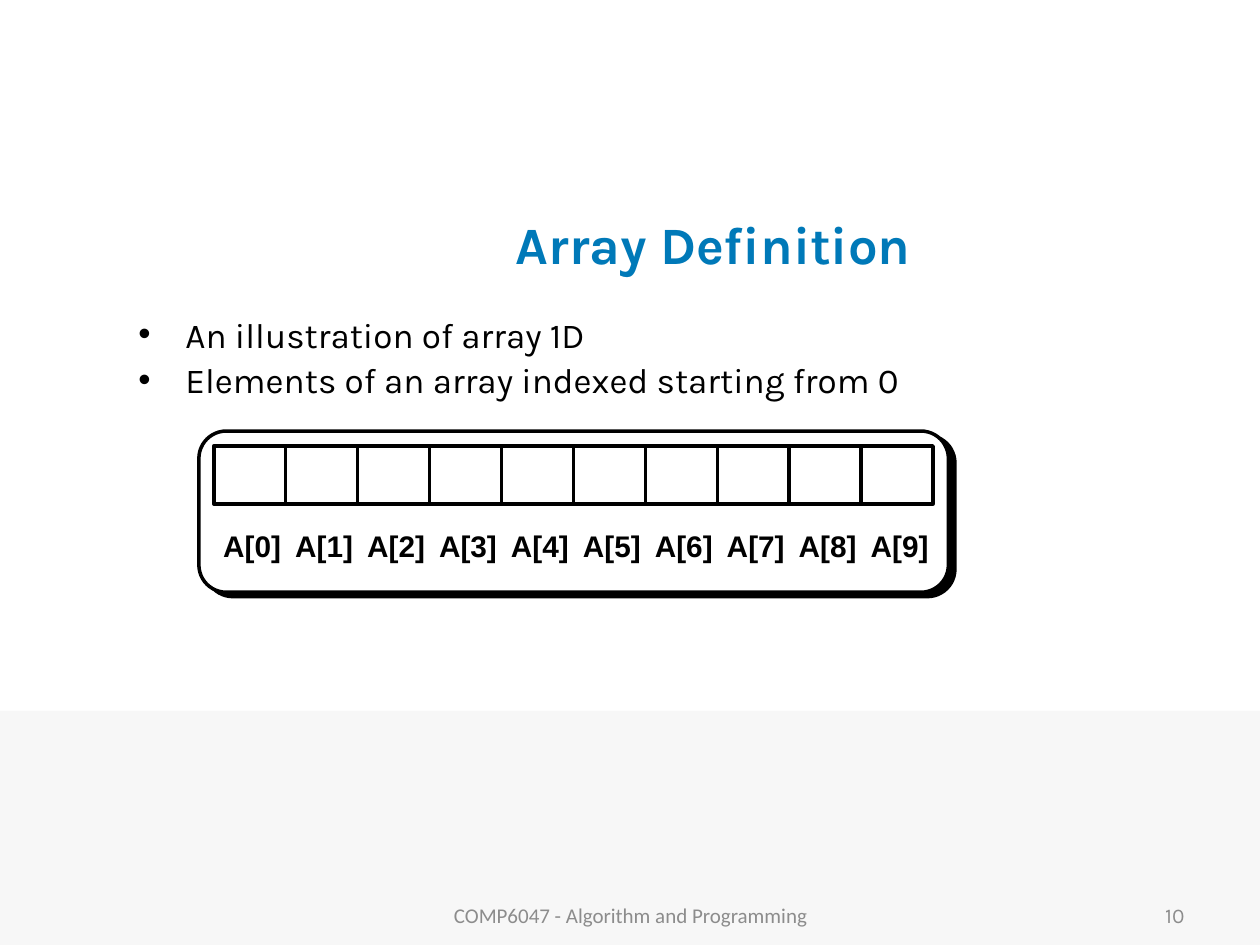
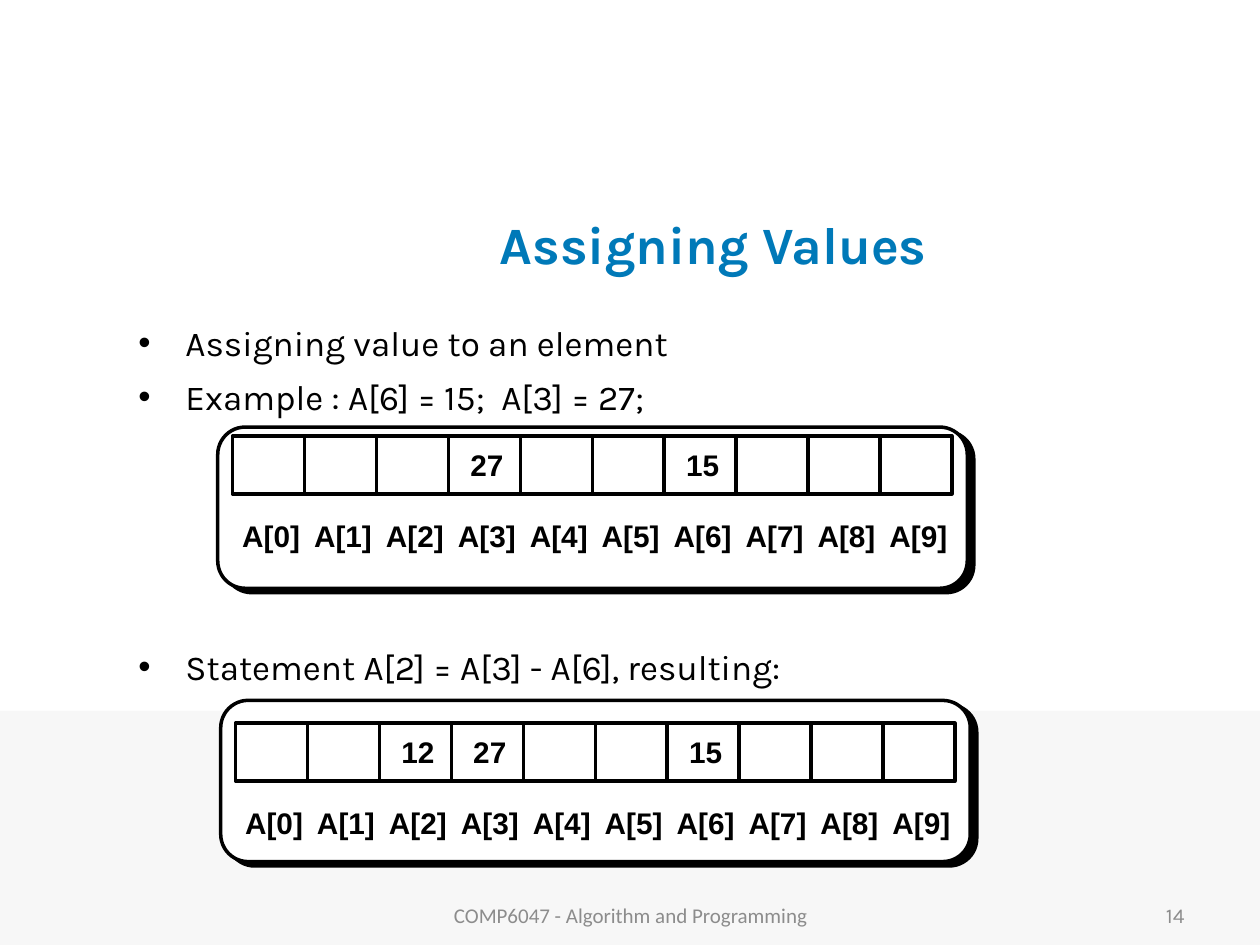
import lxml.etree
import pptx
import pptx.dml.color
import pptx.enum.shapes
import pptx.enum.text
import pptx.oxml.ns
import pptx.util

Cm, Pt = pptx.util.Cm, pptx.util.Pt
ALIGN = pptx.enum.text.PP_ALIGN
ANCHOR = pptx.enum.text.MSO_ANCHOR
SHAPE = pptx.enum.shapes.MSO_SHAPE

FOOTER = "COMP6047 - Algorithm and Programming"
ELEMENTS = 10

# Bullets are (text, points before). Arrays give the panel corner, the gap
# above the cells (all in cm) and the values held, by index.
SLIDES = [
    {
        "title": "Array Definition",
        "number": "10",
        "line_spacing": 0.8,
        "bullets": [
            ("An illustration of array 1D", 7),
            ("Elements of an array indexed starting from 0", 7),
        ],
        "arrays": [{"corner": (4.01, 8.69), "gap": 0.3, "values": {}}],
    },
    {
        "title": "Assigning Values",
        "number": "14",
        "line_spacing": 1.0,
        "bullets": [
            ("Assigning value to an element", 7),
            ("Example : A[6] = 15;  A[3] = 27;", 7),
            ("Statement A[2] = A[3] - A[6], resulting:", 130.4),
        ],
        "arrays": [
            {"corner": (4.39, 8.61), "gap": 0.18, "values": {3: "27", 6: "15"}},
            {"corner": (4.45, 14.12), "gap": 0.46,
             "values": {2: "12", 3: "27", 6: "15"}},
        ],
    },
]

THEME = {
    "ink": "000000",
    "paper": "FFFFFF",
    "band": "F7F7F7",
    "line": Pt(2),
    "title": {"name": "Karla", "size": Pt(30), "bold": True, "color": "0079B8"},
    "body": {"name": "Karla", "size": Pt(20), "color": "000000"},
    "cell": {"name": "Arial", "size": Pt(17), "bold": True, "color": "000000"},
    "footer": {"name": "Calibri", "size": Pt(12), "color": "8C8C8C"},
    "number": {"name": "Karla", "size": Pt(12), "color": "8C8C8C"},
}

# left, top, width, height in cm
BAND = (0, 14.33, 25.4, 4.72)
TITLE = (4.88, 3.81, 19, 2.21)
BODY = (2.54, 6.35, 21.79, 11)
FOOTER_BOX = (8.69, 17.93, 8.05, 1.02)
NUMBER_BOX = (18.21, 17.93, 5.92, 1.02)

PANEL_W, PANEL_H = 15.11, 3.25
CELL_W, CELL_H = 1.45, 1.17
ROW_INDENT = 0.3
TEXT_W, TEXT_H = 1.4, 0.85
TEXT_SHIFT = 0.05
VALUE_DROP, LABEL_DROP = 0.18, 1.61


def rgb(code):
    return pptx.dml.color.RGBColor.from_string(code)


def add_xml(parent, tag, **attributes):
    return lxml.etree.SubElement(parent, pptx.oxml.ns.qn(tag), attributes)


def add_run(paragraph, text, style):
    run = paragraph.add_run()
    run.text = text
    for key, value in style.items():
        if key == "color":
            run.font.color.rgb = rgb(value)
        else:
            setattr(run.font, key, value)


def add_frame(shapes, box, **settings):
    frame = shapes.add_textbox(*map(Cm, box)).text_frame
    for key, value in {"word_wrap": True, **settings}.items():
        setattr(frame, key, value)
    return frame


def add_text(shapes, box, text, style, align=ALIGN.CENTER, **settings):
    paragraph = add_frame(shapes, box, **settings).paragraphs[0]
    paragraph.alignment = align
    add_run(paragraph, text, style)


def add_box(shapes, kind, box, fill=None, line=None):
    shape = shapes.add_shape(kind, *map(Cm, box))
    shape.shadow.inherit = False
    if fill:
        shape.fill.solid()
        shape.fill.fore_color.rgb = rgb(fill)
    else:
        shape.fill.background()
    if line:
        shape.line.color.rgb = rgb(line)
        shape.line.width = THEME["line"]
    else:
        shape.line.fill.background()
    return shape


def add_hard_shadow(shape):
    effects = shape._element.spPr.find(pptx.oxml.ns.qn("a:effectLst"))
    shadow = add_xml(effects, "a:outerShdw", dist=str(Pt(4.5)),
                     dir=str(34 * 60000), algn="ctr", rotWithShape="0")
    add_xml(shadow, "a:srgbClr", val=THEME["ink"])


def add_divider(shapes, x, top):
    divider = shapes.add_connector(
        pptx.enum.shapes.MSO_CONNECTOR.STRAIGHT,
        Cm(x), Cm(top), Cm(x), Cm(top + CELL_H))
    divider.line.color.rgb = rgb(THEME["ink"])
    divider.line.width = THEME["line"]
    add_xml(divider._element.spPr, "a:effectLst")


def add_cell_text(shapes, row_left, index, top, text):
    """Centre text on the column of one array element."""
    centre = row_left + (index + 0.5) * CELL_W + TEXT_SHIFT
    margins = {f"margin_{side}": Cm(0.03)
               for side in ("left", "right", "top", "bottom")}
    add_text(shapes, (centre - TEXT_W / 2, top, TEXT_W, TEXT_H),
             text, THEME["cell"], **margins)


def add_array(slide, corner, gap, values):
    shapes = slide.shapes.add_group_shape().shapes
    left, top = corner
    row_left, row_top = left + ROW_INDENT, top + gap
    panel = add_box(shapes, SHAPE.ROUNDED_RECTANGLE,
                    (left, top, PANEL_W, PANEL_H), THEME["paper"], THEME["ink"])
    panel.adjustments[0] = 0.17
    add_hard_shadow(panel)
    add_box(shapes, SHAPE.RECTANGLE,
            (row_left, row_top, ELEMENTS * CELL_W, CELL_H), line=THEME["ink"])
    for index in range(1, ELEMENTS):
        add_divider(shapes, row_left + index * CELL_W, row_top)
    for index in range(ELEMENTS):
        add_cell_text(shapes, row_left, index, row_top + LABEL_DROP, f"A[{index}]")
    for index, value in values.items():
        add_cell_text(shapes, row_left, index, row_top + VALUE_DROP, value)


def add_bullets(slide, bullets, line_spacing):
    frame = add_frame(slide.shapes, BODY)
    for position, (text, before) in enumerate(bullets):
        paragraph = frame.add_paragraph() if position else frame.paragraphs[0]
        spacing = {"space_before": Pt(before), "line_spacing": line_spacing}
        for key, value in spacing.items():
            setattr(paragraph, key, value)
        properties = paragraph._p.get_or_add_pPr()
        properties.set("marL", str(Cm(0.95)))
        properties.set("indent", str(-Cm(0.95)))
        add_xml(properties, "a:buFont", typeface="Arial")
        add_xml(properties, "a:buChar", char="•")
        add_run(paragraph, text, THEME["body"])


def add_slide(deck, content):
    slide = deck.slides.add_slide(deck.slide_layouts[6])
    shapes = slide.shapes
    middle = {"vertical_anchor": ANCHOR.MIDDLE}
    add_box(shapes, SHAPE.RECTANGLE, BAND, THEME["band"])
    add_text(shapes, TITLE, content["title"], THEME["title"], **middle)
    add_text(shapes, NUMBER_BOX, content["number"], THEME["number"],
             ALIGN.RIGHT, **middle)
    add_bullets(slide, content["bullets"], content["line_spacing"])
    for array in content["arrays"]:
        add_array(slide, **array)
    add_text(shapes, FOOTER_BOX, FOOTER, THEME["footer"], **middle)


def main():
    deck = pptx.Presentation()
    deck.slide_width, deck.slide_height = Cm(25.4), Cm(19.05)
    for content in SLIDES:
        add_slide(deck, content)
    deck.save("out.pptx")


if __name__ == "__main__":
    main()
